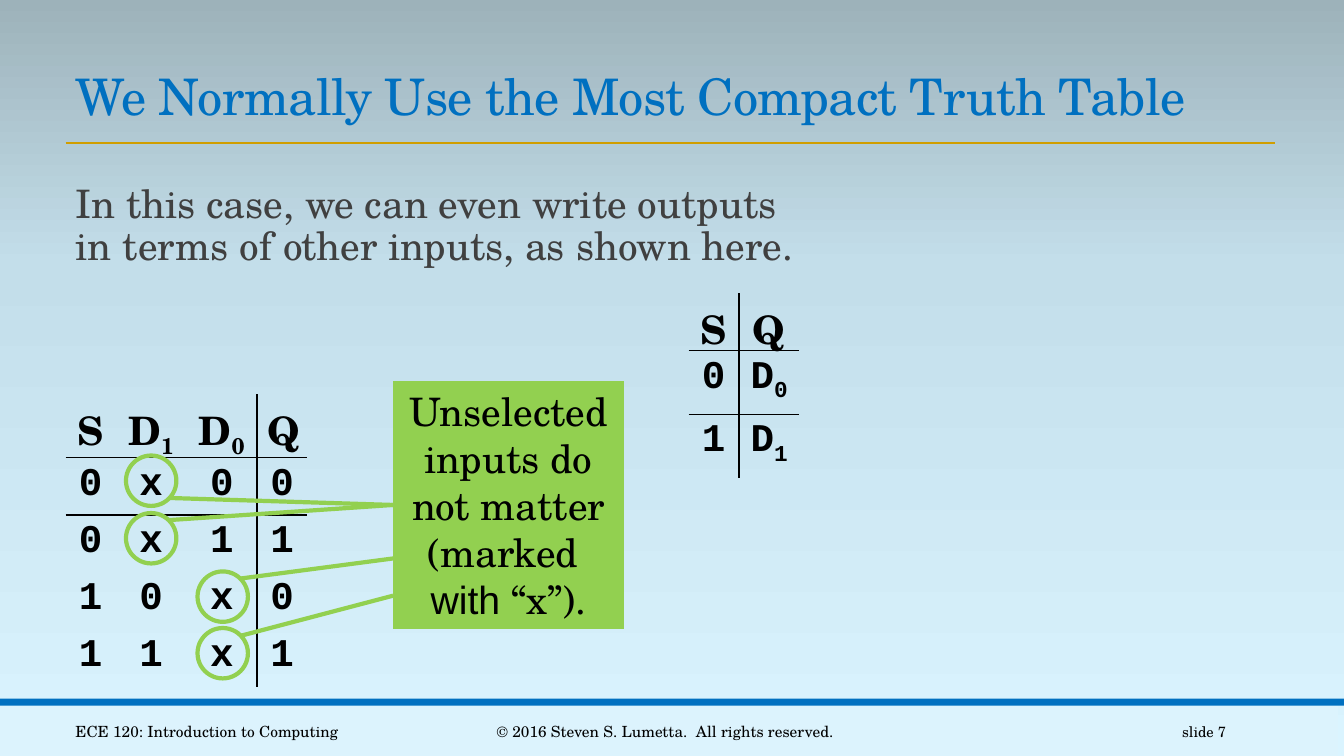
from copy import deepcopy
from dataclasses import dataclass

from lxml.etree import SubElement
from pptx import Presentation
from pptx.dml.color import RGBColor
from pptx.enum.shapes import MSO_CONNECTOR, MSO_SHAPE
from pptx.enum.text import MSO_ANCHOR, MSO_AUTO_SIZE, PP_ALIGN
from pptx.oxml.ns import qn
from pptx.util import Pt

COLORS = {
    "sky": "DAF4FF", "haze": "C3DEEA", "slate": "9DB2BA", "footer": "DCF3FD",
    "blue": "0070C0", "gold": "D09E00", "green": "92D050",
    "body": "404040", "black": "000000",
}
SERIF, SANS, MONO = "TeX Gyre Schola", "Arial", "Courier New"
NO_STYLE = "{2D5ABB26-0587-4C30-8999-92F81FD0307C}"


@dataclass
class Bar:
    left: float
    top: float
    width: float
    height: float
    color: str


@dataclass
class Footer:
    text: str
    left: float
    width: float
    size: float
    align: PP_ALIGN


@dataclass
class TruthTable:
    left: float
    top: float
    height: float
    widths: list[float]
    rows: list[list[str]]  # "D_1" means D with subscript 1


@dataclass
class Mark:
    left: float
    top: float
    tip: tuple[float, float]  # pointer end on the circle
    start_y: float  # pointer start on the callout


BARS = [Bar(-4.3, 504, 960, 36, "footer"), Bar(0, 499, 960, 5, "blue")]
FOOTERS = [
    Footer("ECE 120: Introduction to Computing", 46.8, 234, 11, PP_ALIGN.LEFT),
    Footer("© 2016 Steven S. Lumetta.  All rights reserved.", 290.2, 370, 11, PP_ALIGN.CENTER),
    Footer("slide 7", 779.8, 103, 10.5, PP_ALIGN.RIGHT),
]
TABLES = [
    TruthTable(491.8, 209.5, 122.4, [36, 43.2],
               [["S", "Q"], ["0", "D_0"], ["1", "D_1"]]),
    TruthTable(46.8, 281.5, 203.8, [36, 50.4, 50.4, 36],
               [["S", "D_1", "D_0", "Q"], list("0x00"), list("0x11"),
                list("10x0"), list("11x1")]),
]
CALLOUT_LEFT = 280.8
MARKS = [
    Mark(90, 325.4, (121, 355.7), 360.7),
    Mark(90, 366.5, (121, 371.5), 360.7),
    Mark(141.1, 408.2, (171.4, 413.3), 398.9),
    Mark(141.1, 448.6, (171.4, 454.3), 425.5),
]


def rgb(name: str) -> RGBColor:
    return RGBColor.from_string(COLORS[name])


def style(p, size: float, color: str = "black", font: str = SERIF, bold: bool = False,
          align: PP_ALIGN = PP_ALIGN.LEFT) -> None:
    p.alignment = align
    p.font.name, p.font.size, p.font.bold = font, Pt(size), bold
    p.font.color.rgb = rgb(color)


def draw_background(s) -> None:
    fill = s.background.fill
    fill.gradient()
    fill.gradient_angle = 90
    gs_list = s.element.find(".//" + qn("a:gsLst"))
    gs_list.append(deepcopy(gs_list[-1]))
    for stop, name, pos in zip(fill.gradient_stops, ("sky", "haze", "slate"), (0, 0.65, 1)):
        stop.color.rgb = rgb(name)
        stop.position = pos


def draw_shape(shapes, kind: MSO_SHAPE, left: float, top: float, width: float,
               height: float, fill: str = "", line: str = ""):
    sp = shapes.add_shape(kind, Pt(left), Pt(top), Pt(width), Pt(height))
    sp.shadow.inherit = False
    if fill:
        sp.fill.solid()
        sp.fill.fore_color.rgb = rgb(fill)
    else:
        sp.fill.background()
    if line:
        sp.line.color.rgb = rgb(line)
        sp.line.width = Pt(3)
    else:
        sp.line.fill.background()
    return sp


def draw_line(shapes, start: tuple[float, float], end: tuple[float, float],
              color: str, width: float) -> None:
    cn = shapes.add_connector(MSO_CONNECTOR.STRAIGHT, *map(Pt, start + end))
    cn.line.color.rgb = rgb(color)
    cn.line.width = Pt(width)
    SubElement(cn._element.spPr, qn("a:effectLst"))


def fill_placeholder(sp, text: str, box: tuple[float, ...], size: float, color: str):
    sp.left, sp.top, sp.width, sp.height = map(Pt, box)
    tf = sp.text_frame
    tf.auto_size = MSO_AUTO_SIZE.NONE
    p = tf.paragraphs[0]
    p.text = text
    style(p, size, color)
    return tf, p


def draw_footer(s, f: Footer) -> None:
    tf = s.shapes.add_textbox(Pt(f.left), Pt(508.3), Pt(f.width), Pt(28.8)).text_frame
    tf.word_wrap = True
    tf.vertical_anchor = MSO_ANCHOR.MIDDLE
    tf.text = f.text
    style(tf.paragraphs[0], f.size, align=f.align)


def set_border(cell, side: str) -> None:
    ln = SubElement(cell._tc.get_or_add_tcPr(), qn(f"a:{side}"), w=str(Pt(1)))
    SubElement(SubElement(ln, qn("a:solidFill")), qn("a:srgbClr"), val=COLORS["black"])


def draw_table(s, t: TruthTable) -> None:
    cols = len(t.widths)
    frame = s.shapes.add_table(len(t.rows), cols, Pt(t.left), Pt(t.top),
                               Pt(sum(t.widths)), Pt(t.height))
    table = frame.table
    table.first_row = table.horz_banding = False
    table._tbl.tblPr.find(qn("a:tableStyleId")).text = NO_STYLE
    for col, width in zip(table.columns, t.widths):
        col.width = Pt(width)
    for i, row in enumerate(t.rows):
        table.rows[i].height = Pt(39 if i else 34)
        for j, text in enumerate(row):
            cell = table.cell(i, j)
            p = cell.text_frame.paragraphs[0]
            style(p, 28, font=MONO if i else SERIF, bold=True, align=PP_ALIGN.CENTER)
            base, _, sub = text.partition("_")
            p.add_run().text = base
            if sub:
                r = p.add_run()
                r.text = sub
                r._r.get_or_add_rPr().set("baseline", "-25000")
            # Rules under the header and left of the output column
            edges = {"lnL": j == cols - 1, "lnR": j == cols - 2, "lnT": i == 1, "lnB": i == 0}
            for side in (name for name, shown in edges.items() if shown):
                set_border(cell, side)
            cell.fill.background()
    frame.height = Pt(t.height)


def draw_callout(s) -> None:
    shapes = s.shapes.add_group_shape().shapes
    sp = draw_shape(shapes, MSO_SHAPE.RECTANGLE, CALLOUT_LEFT, 272.2, 164.9, 177.1, "green")
    tf = sp.text_frame
    tf.word_wrap = False
    tf.text = "Unselected\vinputs do\nnot matter\v(marked \n"
    for p in tf.paragraphs:
        style(p, 28, align=PP_ALIGN.CENTER)
    r = p.add_run()
    r.text, r.font.name = "with", SANS
    p.add_run().text = " “x”)."
    for m in MARKS:
        draw_shape(shapes, MSO_SHAPE.OVAL, m.left, m.top, 36, 36, line="green")
    for m in MARKS:
        draw_line(shapes, (CALLOUT_LEFT, m.start_y), m.tip, "green", 3)


def main() -> None:
    prs = Presentation()
    prs.slide_width, prs.slide_height = Pt(960), Pt(540)
    s = prs.slides.add_slide(prs.slide_layouts[1])

    # Backdrop
    draw_background(s)
    for b in BARS:
        draw_shape(s.shapes, MSO_SHAPE.RECTANGLE, b.left, b.top, b.width, b.height, b.color)
    draw_line(s.shapes, (46.8, 102.2), (910.8, 102.2), "gold", 2)

    # Title and body
    tf, p = fill_placeholder(s.shapes.title, "We Normally Use the Most Compact Truth Table",
                             (46.8, 42.5, 864.7, 51.1), 36, "blue")
    tf.vertical_anchor = MSO_ANCHOR.BOTTOM
    p.line_spacing = 0.85
    p._p.pPr.find(qn("a:defRPr")).set("spc", "-50")
    tf, p = fill_placeholder(
        s.placeholders[1],
        "In this case, we can even write outputs\vin terms of other inputs, as shown here.",
        (46.8, 128.2, 613.4, 334.1), 28, "body")
    tf.margin_left = tf.margin_right = 0
    p.line_spacing, p.space_before, p.space_after = 0.9, Pt(12), Pt(2)
    pPr = p._p.pPr
    pPr.set("marL", str(Pt(7.2)))
    pPr.set("indent", "0")
    pPr.find(qn("a:defRPr")).addprevious(pPr.makeelement(qn("a:buNone")))

    # Footer, tables and callout
    for f in FOOTERS:
        draw_footer(s, f)
    for t in TABLES:
        draw_table(s, t)
    draw_callout(s)
    prs.save("out.pptx")


if __name__ == "__main__":
    main()
